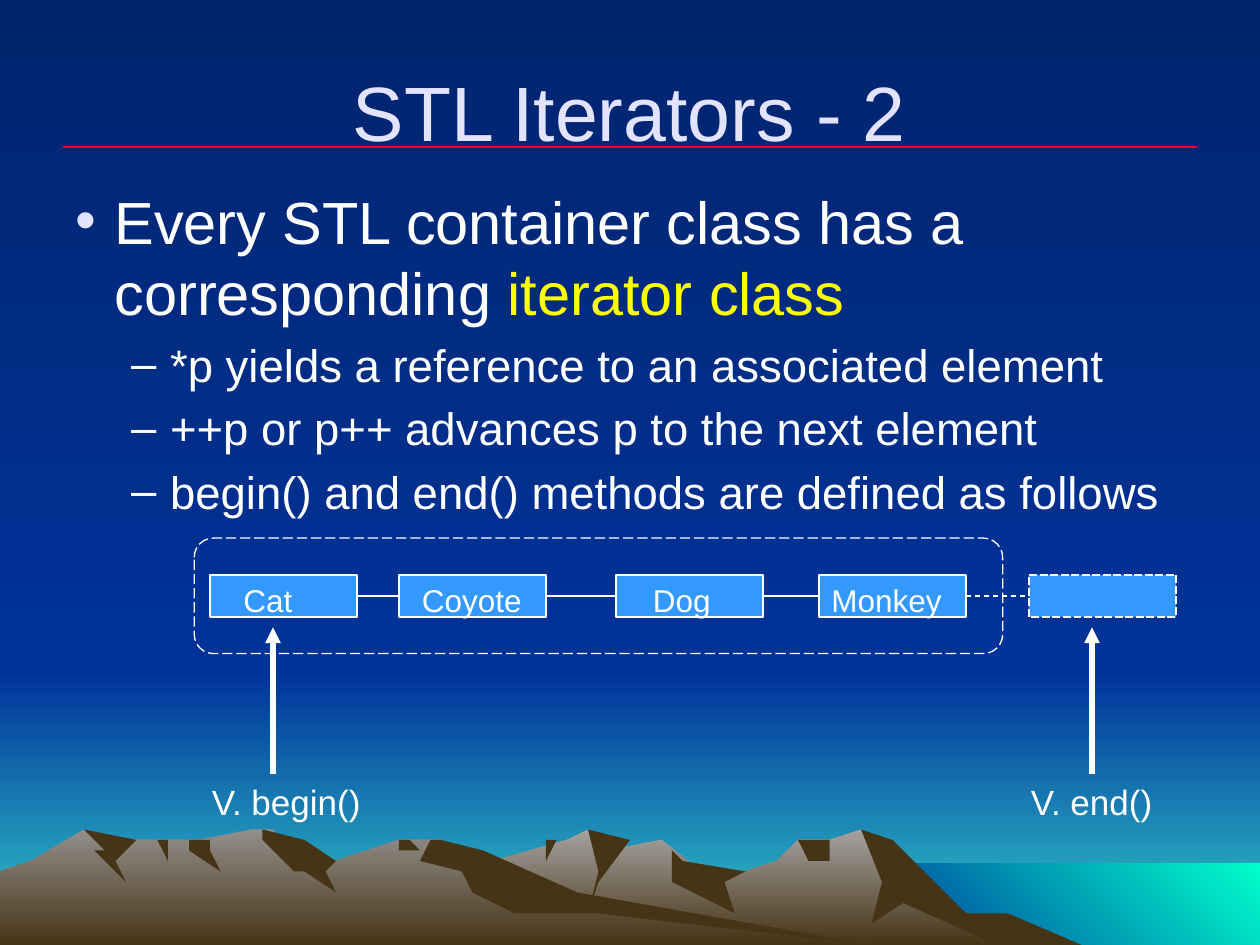
from lxml.etree import SubElement
from pptx import Presentation
from pptx.dml.color import RGBColor
from pptx.enum.dml import MSO_LINE
from pptx.enum.shapes import MSO_CONNECTOR, MSO_SHAPE
from pptx.enum.text import MSO_ANCHOR, MSO_AUTO_SIZE, PP_ALIGN
from pptx.oxml.ns import qn
from pptx.util import Emu, Inches, Pt

COLUMNS, ROWS = 120, 90
WHITE, LAVENDER, YELLOW, RED = "FFFFFF", "E3E3FF", "FFFF00", "EF0129"
BLUE, NIGHT, DAY, EARTH = "3399FF", "00246D", "003399", "463416"
HORIZON, SHORE, GROUND = 64, 82.2, 90
DOWNWARD, UP_AND_RIGHT = 270, 45

SKYLINES = {
    "east": ("A5A29F", [(31, 90), (39.2, 85.1), (47.3, 82.2), (54, 79.7), (55.8, 79), (58.3, 80.7),
                        (63.2, 80.3), (67.9, 83.6), (73.6, 81.7), (75.5, 80.5), (78.7, 80.5), (82.2, 79.2),
                        (86.8, 83.8), (91.7, 86.8), (98.5, 90)]),
    "west": ("938F8B", [(0, 82.8), (3.1, 82.2), (8.2, 79.4), (11.3, 80.5), (17.2, 80), (19.2, 80.5),
                        (23.5, 79), (26.3, 79.2), (28.3, 81.7), (32.5, 81.8), (38.2, 79.7), (42.5, 79.8),
                        (51.8, 85.4), (82.8, 90)]),
}
SHADOWS = {
    "east face": [(82.2, 79.2), (84.8, 80.5), (92.5, 86.8), (95.5, 86.9), (103, 90), (95, 90),
                  (86.4, 86), (83.2, 88), (83.8, 84.2)],
    "central peak": [(56.5, 79), (59.6, 80.5), (56.9, 84), (55.8, 87.2), (56.8, 82.8)],
    "central shoulder": [(63.5, 81.1), (65, 82.2), (71, 82.7), (69.1, 84), (69.6, 86.8), (64.3, 83.6)],
    "east notch": [(75.6, 80.5), (78.7, 80.5), (78.8, 82.1), (77.2, 82)],
    "central notch": [(52, 80.5), (52.7, 80.4), (52.1, 82.1)],
    "west peak": [(25.4, 79.1), (28.8, 79.6), (32.5, 81.8), (31.3, 82.7), (32, 85.1), (28.9, 82.6),
                  (27.8, 82.8), (25, 80.3)],
    "long slope": [(40.7, 80.3), (42.5, 79.8), (46.3, 81), (54.6, 84.8), (82.8, 90.1), (56.6, 87.2),
                   (48.8, 87.2), (44.9, 85.4), (43.6, 82.9), (40.4, 82.4)],
    "west notch": [(38.2, 79.7), (39.3, 80), (39.6, 80.9), (38.3, 80.6)],
    "west gully": [(17.8, 80), (20.2, 80.3), (19.8, 81.4), (21.1, 83.4), (18.5, 81.2)],
    "west crack": [(14.8, 80.3), (16, 80.4), (15.8, 81.6)],
    "far west peak": [(8.3, 79.4), (13.3, 80.3), (11.2, 82.2), (12, 83.8), (9.2, 81.1), (10.1, 80.8)],
}


def rgb(value):
    """Turn a hex string into a colour."""
    return RGBColor.from_string(value)


def grid(*cells):
    """Convert columns or rows of the slide grid into lengths."""
    return [Inches(cell / 12) for cell in cells]


def paint(fill, colours, angle=DOWNWARD):
    """Apply one plain colour, or a gradient between two."""
    if len(colours) == 1:
        fill.solid()
        fill.fore_color.rgb = rgb(colours[0])
        return
    fill.gradient()
    fill.gradient_angle = angle
    for stop, value in zip(fill.gradient_stops, colours):
        stop.color.rgb = rgb(value)


def stroke(line, colour, width, dash=None):
    """Set the colour, width and dash of a line."""
    line.color.rgb = rgb(colour)
    for name, value in {"width": Pt(width), "dash_style": dash}.items():
        setattr(line, name, value)


def polygon(s, corners, *colours):
    """Draw a filled outline through grid points."""
    builder = s.shapes.build_freeform(*corners[0], scale=Inches(1 / 12))
    builder.add_line_segments(corners[1:], close=True)
    sp = builder.convert_to_shape(Emu(0), Emu(0))
    sp.shadow.inherit = False
    sp.line.fill.background()
    paint(sp.fill, colours)


def panel(s, left, top, bottom, colours, angle=DOWNWARD):
    """Draw a gradient rectangle reaching the right edge of the slide."""
    sp = s.shapes.add_shape(MSO_SHAPE.RECTANGLE, *grid(left, top, COLUMNS - left, bottom - top))
    sp.shadow.inherit = False
    sp.line.fill.background()
    paint(sp.fill, colours, angle)


def landscape(s):
    """Draw the sky, the sea and the mountains with their shadows."""
    paint(s.background.fill, (NIGHT, DAY))
    panel(s, 0, HORIZON, GROUND, (DAY, "33CCCC"))
    panel(s, 0, 0, HORIZON, (NIGHT, DAY))
    panel(s, 82, SHORE, GROUND, (DAY, "00FFCC"), UP_AND_RIGHT)
    for light, skyline in SKYLINES.values():
        first, last = skyline[0][0], skyline[-1][0]
        polygon(s, skyline + [(last, GROUND), (first, GROUND)], light, EARTH)
    for corners in SHADOWS.values():
        polygon(s, corners, EARTH)


def connector(s, start, end, width=0.75, dash=None, colour=WHITE):
    """Draw a straight line between two grid points."""
    c = s.shapes.add_connector(MSO_CONNECTOR.STRAIGHT, *grid(*start, *end))
    stroke(c.line, colour, width, dash)
    SubElement(c.element.spPr, qn("a:effectLst"))
    return c


def join(s, left, right, dash=None):
    """Connect the right side of one box to the left side of another."""
    c = connector(s, (0, 0), (1, 1), dash=dash)
    c.begin_connect(left, 3)
    c.end_connect(right, 1)


def write(p, text, size, colour=WHITE):
    """Add a run of Arial text to a paragraph."""
    r = p.add_run()
    r.text = text
    for name, value in {"name": "Arial", "size": Pt(size)}.items():
        setattr(r.font, name, value)
    r.font.color.rgb = rgb(colour)


def place(sp, box):
    """Move a placeholder to a box, in front of everything drawn so far."""
    sp.left, sp.top, sp.width, sp.height = grid(*box)
    sp.element.getparent().append(sp.element)
    sp.text_frame.auto_size = MSO_AUTO_SIZE.NONE
    return sp.text_frame


def bullet(p, char, margin, colour):
    """Give a paragraph a hanging bullet and spacing above."""
    pPr = p._p.get_or_add_pPr()
    for name, value in {"marL": margin, "indent": -0.31}.items():
        pPr.set(name, str(Inches(value)))
    SubElement(SubElement(pPr, qn("a:spcBef")), qn("a:spcPct")).set("val", "20000")
    SubElement(SubElement(pPr, qn("a:buClr")), qn("a:srgbClr")).set("val", colour)
    SubElement(pPr, qn("a:buFont")).set("typeface", "Arial")
    SubElement(pPr, qn("a:buChar")).set("char", char)


def heading(s, box):
    """Write the title."""
    tf = place(s.shapes.title, box)
    tf.vertical_anchor = MSO_ANCHOR.MIDDLE
    tf.paragraphs[0].alignment = PP_ALIGN.CENTER
    write(tf.paragraphs[0], "STL Iterators - 2", 44, LAVENDER)


def bullets(s, box):
    """Write the bulleted list."""
    tf = place(s.placeholders[1], box)
    p = tf.paragraphs[0]
    bullet(p, "•", 0.31, LAVENDER)
    write(p, "Every STL container class has a corresponding ", 34)
    write(p, "iterator class", 34, YELLOW)
    for text in ("*p yields a reference to an associated element",
                 "++p or p++ advances p to the next element",
                 "begin() and end() methods are defined as follows"):
        p = tf.add_paragraph()
        p.level = 1
        bullet(p, "–", 0.75, WHITE)
        write(p, text, 26)


def node(s, x, y, dash=None):
    """Draw one element box of the container."""
    sp = s.shapes.add_shape(MSO_SHAPE.RECTANGLE, *grid(x, y, 14, 4))
    sp.shadow.inherit = False
    stroke(sp.line, WHITE, 1.5, dash)
    paint(sp.fill, [BLUE])
    return sp


def frame(s, box):
    """Draw the dashed rounded border around the elements."""
    sp = s.shapes.add_shape(MSO_SHAPE.ROUNDED_RECTANGLE, *grid(*box))
    sp.shadow.inherit = False
    sp.fill.background()
    stroke(sp.line, WHITE, 0.75, MSO_LINE.LONG_DASH)


def label(s, text, box, size, wrap):
    """Add a text box."""
    tf = s.shapes.add_textbox(*grid(*box)).text_frame
    tf.word_wrap = wrap
    write(tf.paragraphs[0], text, size)


def iterator(s, text, x, y, width):
    """Draw an arrow pointing up to a position, with its name below."""
    c = connector(s, (x, y), (x, y + 14), 3)
    SubElement(c.element.spPr.find(qn("a:ln")), qn("a:headEnd")).set("type", "triangle")
    label(s, text, (x - 7, y + 14, width, 5.3), 20, False)


def container(s, x, y):
    """Draw the chained elements and the iterators at both ends."""
    frame(s, (x - 1.5, y - 3.5, 77, 11))
    cat, monkey = node(s, x, y), node(s, x + 58, y)
    join(s, cat, monkey)
    for column in (18, 38.67):
        node(s, x + column, y)
    past_end = node(s, x + 78, y, MSO_LINE.SQUARE_DOT)
    join(s, monkey, past_end, MSO_LINE.DASH)
    for text, column, width in [("Cat", 2, 10), ("Coyote", 19, 13), ("Dog", 41, 13), ("Monkey", 58, 15)]:
        label(s, text, (x + column, y, width, 4.8), 18, True)
    iterator(s, "V. begin()", x + 6, y + 5, 18.4)
    iterator(s, "V. end()", x + 84, y + 5, 15.4)


def main():
    """Build and save the slide."""
    prs = Presentation()
    prs.slide_width, prs.slide_height = grid(COLUMNS, ROWS)
    s = prs.slides.add_slide(prs.slide_layouts[1])
    landscape(s)
    connector(s, (6, 14), (114, 14), colour=RED)
    heading(s, (6, 3, 108, 15))
    bullets(s, (6, 17, 111, 66))
    container(s, 20, 54.75)
    prs.save("out.pptx")


if __name__ == "__main__":
    main()
